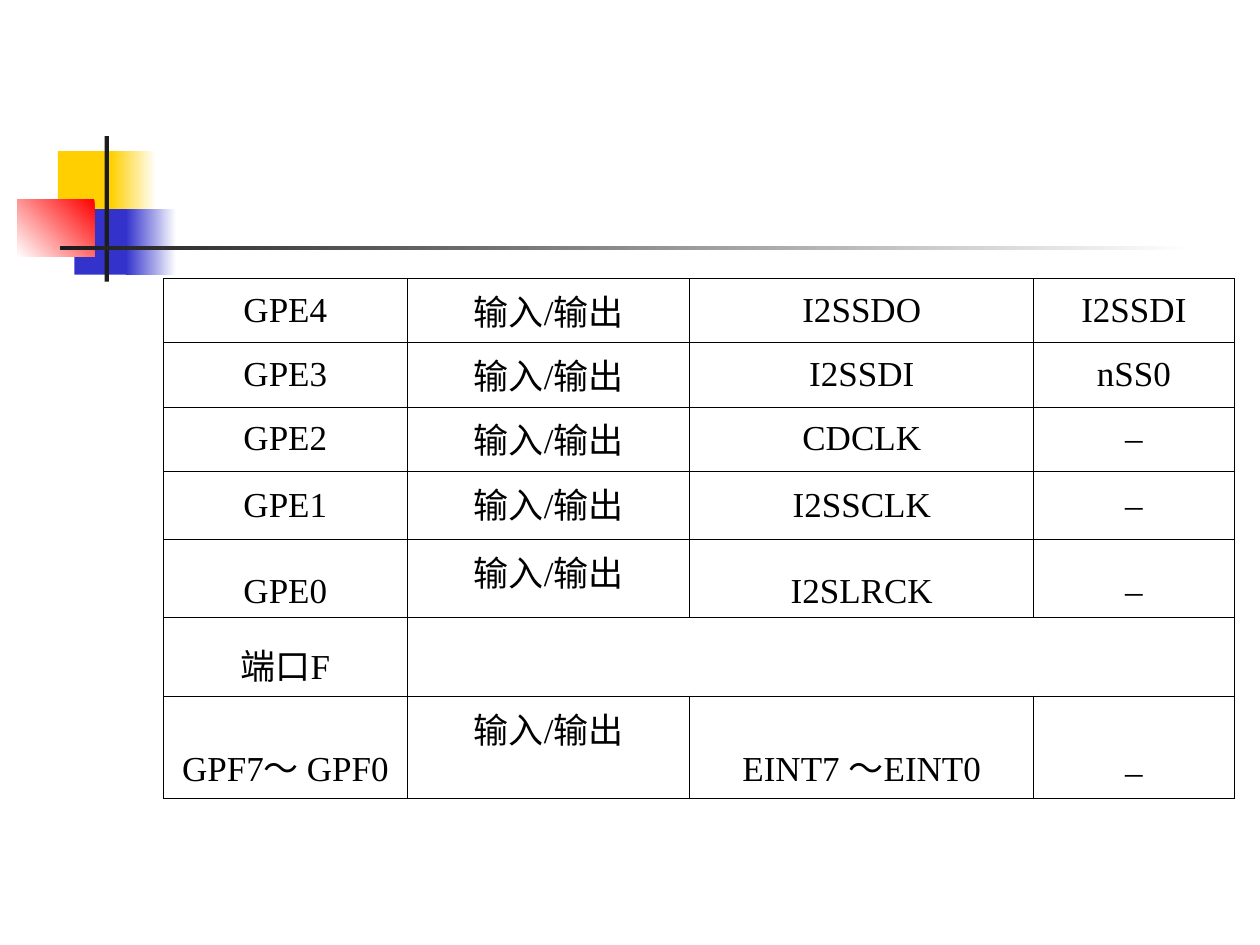
import pptx
import pptx.dml.color
import pptx.enum.shapes
import pptx.enum.text
import pptx.oxml
import pptx.oxml.ns
import pptx.util

COLOURS = {
    "white": "FFFFFF",
    "yellow": "FFCF01",
    "blue": "3333CC",
    "red": "FF0000",
    "ink": "1C1C1C",
    "black": "000000",
}
ANCHOR = pptx.enum.text.MSO_ANCHOR
BORDER_WIDTH = pptx.util.Pt(0.45)


def rgb(name):
    return pptx.dml.color.RGBColor.from_string(COLOURS[name])


def write_text(cell, text, *, size=20, font="Times New Roman", colour="black",
               align=pptx.enum.text.PP_ALIGN.CENTER, anchor=ANCHOR.TOP):
    cell.vertical_anchor = anchor
    paragraph = cell.text_frame.paragraphs[0]
    paragraph.alignment = align
    run = paragraph.add_run()
    run.text = text
    run.font.size = pptx.util.Pt(size)
    run.font.name = font
    run.font.color.rgb = rgb(colour)


deck = pptx.Presentation()
deck.slide_width = pptx.util.Inches(10)
deck.slide_height = pptx.util.Inches(7.5)
slide = deck.slides.add_slide(deck.slide_layouts[6])
across = deck.slide_width / 100
down = deck.slide_height / 100

ornament = [
    (4.6, 16, 4.8, 6.93, ["yellow"], None),
    (8.8, 16, 3.6, 6.93, ["white", "yellow"], 180),
    (5.9, 22.13, 4.6, 6.93, ["blue"], None),
    (10, 22.13, 4, 6.93, ["white", "blue"], 180),
    (1.4, 21.07, 6.1, 6.13, ["red", "white"], 225),
    (8.3, 14.4, 0.35, 15.4, ["ink"], None),
    (4.8, 26, 90, 0.5, ["white", "ink"], 180),
]
for left, top, width, height, tones, angle in ornament:
    block = slide.shapes.add_shape(
        pptx.enum.shapes.MSO_SHAPE.RECTANGLE,
        round(left * across), round(top * down),
        round(width * across), round(height * down))
    block.shadow.inherit = False
    block.line.fill.background()
    if angle is None:
        block.fill.solid()
        block.fill.fore_color.rgb = rgb(tones[0])
    else:
        block.fill.gradient()
        block.fill.gradient_angle = angle
        for stop, tone in zip(block.fill.gradient_stops, tones):
            stop.color.rgb = rgb(tone)

column_shares = [19.4, 22.4, 27.3, 15.9]
row_shares = [6.8, 6.8, 6.8, 7.2, 8.3, 8.3, 10.8]
in_out = "输入/输出"
pins = [
    ("GPE4", in_out, "I2SSDO", "I2SSDI"),
    ("GPE3", in_out, "I2SSDI", "nSS0"),
    ("GPE2", in_out, "CDCLK", "–"),
    ("GPE1", in_out, "I2SSCLK", "–"),
    ("GPE0", in_out, "I2SLRCK", "–"),
    ("端口F", "", "", ""),
    ("GPF7～ GPF0", in_out, "EINT7 ～EINT0", "–"),
]
port_row = 5
first_low_row = 4

pin_table = slide.shapes.add_table(
    len(pins), len(column_shares), round(12.95 * across), round(29.47 * down),
    round(sum(column_shares) * across), round(sum(row_shares) * down)).table
pin_table.first_row = False
pin_table.horz_banding = False
for column, share in zip(pin_table.columns, column_shares):
    column.width = round(share * across)
for row, share in zip(pin_table.rows, row_shares):
    row.height = round(share * down)
pin_table.cell(port_row, 1).merge(pin_table.cell(port_row, 3))

for row_index, pin in enumerate(pins):
    for column_index, label in enumerate(pin):
        cell = pin_table.cell(row_index, column_index)
        cell.fill.background()
        if label:
            if column_index == 1:
                anchor = ANCHOR.TOP
            elif row_index < first_low_row:
                anchor = ANCHOR.MIDDLE
            else:
                anchor = ANCHOR.BOTTOM
            write_text(cell, label, anchor=anchor)
        properties = cell._tc.get_or_add_tcPr()
        for position, side in enumerate(("lnL", "lnR", "lnT", "lnB")):
            properties.insert(position, pptx.oxml.parse_xml(
                f'<a:{side} {pptx.oxml.ns.nsdecls("a")} w="{BORDER_WIDTH}"><a:solidFill>'
                f'<a:srgbClr val="{COLOURS["black"]}"/></a:solidFill></a:{side}>'))

deck.save("out.pptx")
